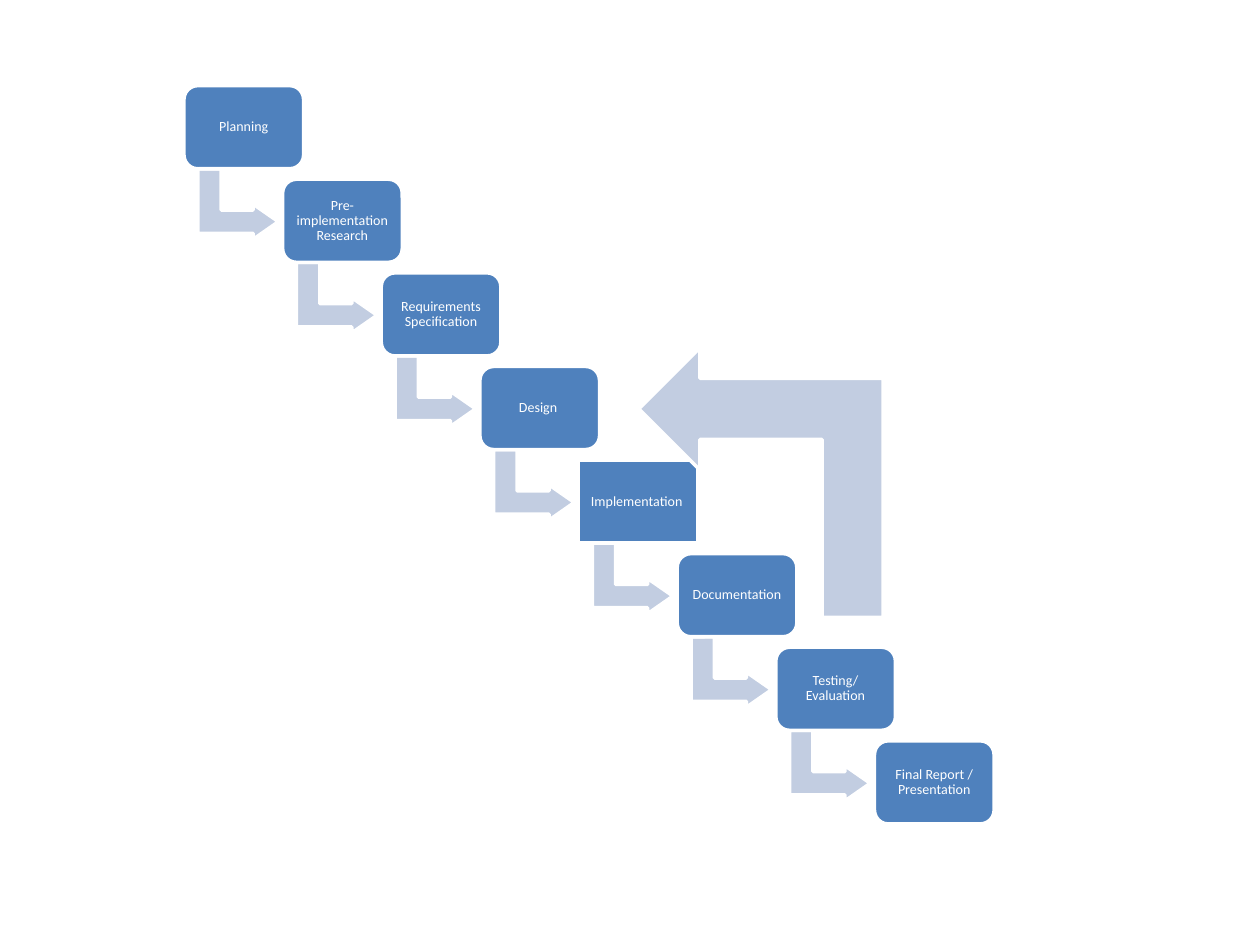
from pptx import Presentation
from pptx.dml.color import RGBColor
from pptx.enum.shapes import MSO_SHAPE
from pptx.enum.text import MSO_ANCHOR, PP_ALIGN
from pptx.util import Inches, Pt

ROUNDED = MSO_SHAPE.ROUNDED_RECTANGLE
RECTANGLE = MSO_SHAPE.RECTANGLE
BENT_ARROW = MSO_SHAPE.BENT_UP_ARROW
CENTER = PP_ALIGN.CENTER
MIDDLE = MSO_ANCHOR.MIDDLE
BLANK_LAYOUT = 6

BLUE, PALE_BLUE, WHITE = "4F81BD", "C2CDE1", "FFFFFF"

STAGES = [
    "Planning",
    "Pre-implementation Research",
    "Requirements Specification",
    "Design ",
    "Implementation ",
    "Documentation",
    "Testing/Evaluation",
    "Final Report / Presentation",
]
SQUARE_STAGE = "Implementation "
FIRST_LEFT, FIRST_TOP = 1.46, 0.68
LAST_LEFT, LAST_TOP = 6.94, 5.88
STEP_X = (LAST_LEFT - FIRST_LEFT) / (len(STAGES) - 1)
STEP_Y = (LAST_TOP - FIRST_TOP) / (len(STAGES) - 1)


def color(hex_string):
    return RGBColor.from_string(hex_string)


def add_outlined_shape(page, kind, left, top, width, height, fill):
    shape = page.shapes.add_shape(
        kind, Inches(left), Inches(top), Inches(width), Inches(height))
    shape.shadow.inherit = False
    shape.fill.solid()
    shape.fill.fore_color.rgb = color(fill)
    shape.line.color.rgb = color(WHITE)
    shape.line.width = Pt(2)
    return shape


def add_bent_arrow(page, left, top, width, height, rotation, adjustments=()):
    arrow = add_outlined_shape(
        page, BENT_ARROW, left, top, width, height, PALE_BLUE)
    arrow.rotation = rotation
    for index, value in enumerate(adjustments):
        arrow.adjustments[index] = value


def add_stage(page, label, left, top):
    kind = RECTANGLE if label == SQUARE_STAGE else ROUNDED
    box = add_outlined_shape(page, kind, left, top, 0.95, 0.66, BLUE)
    frame = box.text_frame
    frame.word_wrap = True
    frame.vertical_anchor = MIDDLE
    frame.margin_left = frame.margin_right = Inches(0.03)
    frame.margin_top = frame.margin_bottom = Inches(0.03)
    frame.text = label
    para = frame.paragraphs[0]
    para.alignment = CENTER
    para.line_spacing = 0.9
    font = para.runs[0].font
    font.name = "Calibri"
    font.size = Pt(8)
    font.color.rgb = color(WHITE)


def main():
    deck = Presentation()
    deck.slide_width, deck.slide_height = Inches(10), Inches(7.5)
    page = deck.slides.add_slide(deck.slide_layouts[BLANK_LAYOUT])

    # Staircase of stages, each but the last with an arrow to the next
    for index, label in enumerate(STAGES):
        left = FIRST_LEFT + index * STEP_X
        top = FIRST_TOP + index * STEP_Y
        if index < len(STAGES) - 1:
            add_bent_arrow(page, left + 0.15, top + 0.62, 0.56, 0.64, 90,
                           (0.33, 0.25, 0.36))
        add_stage(page, label, left, top)

    # Feedback arrow from testing back to design
    add_bent_arrow(page, 4.97, 2.86, 2.14, 1.94, 270)

    deck.save("out.pptx")


if __name__ == "__main__":
    main()
